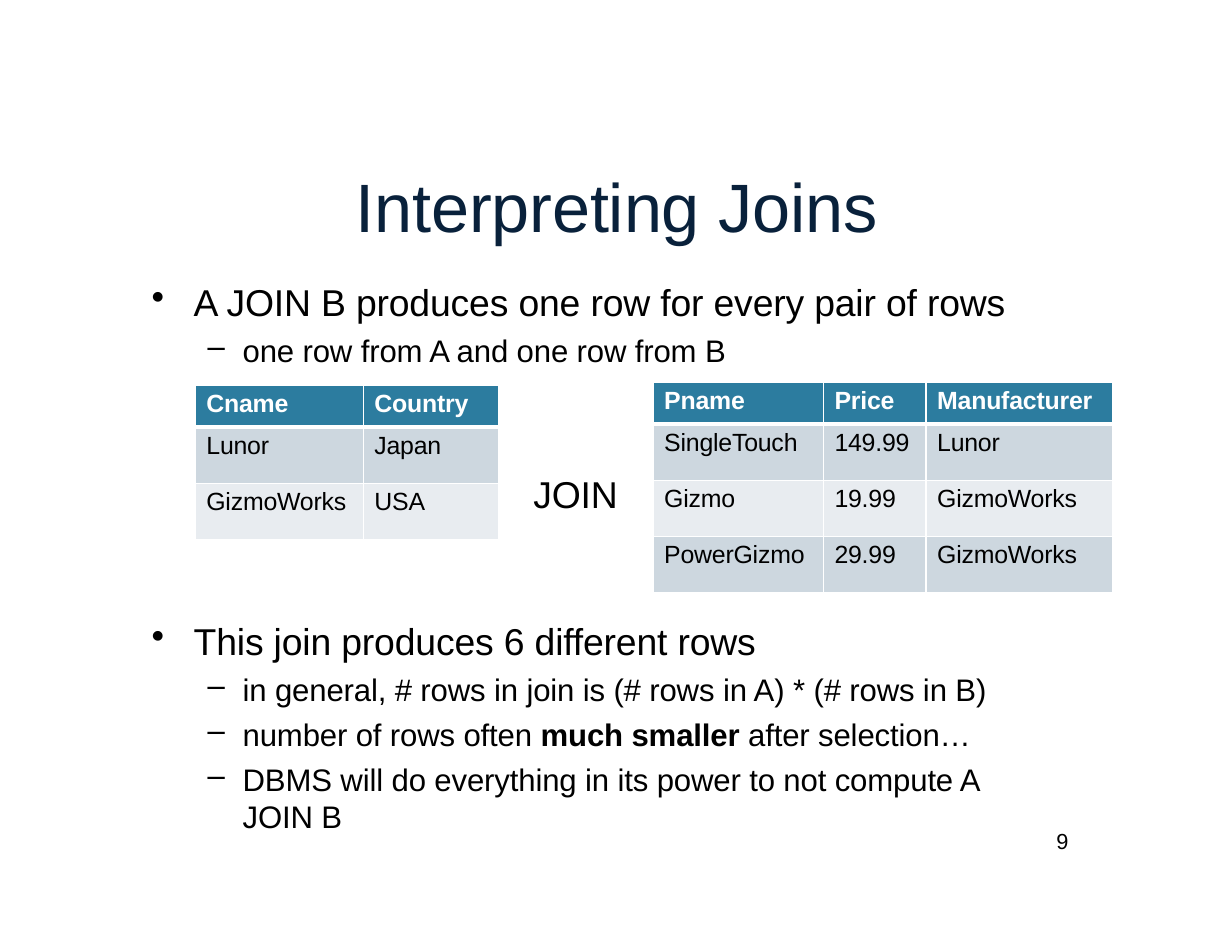
from lxml import etree
from pptx import Presentation
from pptx.dml.color import RGBColor
from pptx.enum import text
from pptx.oxml.ns import qn
from pptx.util import Pt

BLACK = RGBColor(0x00, 0x00, 0x00)
WHITE = RGBColor(0xFF, 0xFF, 0xFF)
NAVY = RGBColor(0x09, 0x21, 0x3B)
HEADER = RGBColor(0x2C, 0x7C, 0x9F)
BAND_DARK = RGBColor(0xCD, 0xD7, 0xDF)
BAND_LIGHT = RGBColor(0xE8, 0xEC, 0xF0)

TITLE_ONLY = 5
HEADER_HEIGHT, ROW_HEIGHT = 27, 36
# Per level: bullet, size, left margin, hanging indent, space before
LEVELS = [("•", 24, 28, 27, 0), ("–", 20, 59.5, 22.5, 4.9)]

COMPANIES = [("Cname", "Country"), ("Lunor", "Japan"), ("GizmoWorks", "USA")]
PRODUCTS = [
    ("Pname", "Price", "Manufacturer"),
    ("SingleTouch", "149.99", "Lunor"),
    ("Gizmo", "19.99", "GizmoWorks"),
    ("PowerGizmo", "29.99", "GizmoWorks"),
]
JOIN_MEANING = [
    (0, ["A JOIN B produces one row for every pair of rows"]),
    (1, ["one row from A and one row from B"]),
]
JOIN_SIZE = [
    (0, ["This join produces 6 different rows"]),
    (1, ["in general, # rows in join is (# rows in A) * (# rows in B)"]),
    (1, ["number of rows often ", "much smaller", " after selection…"]),
    (1, ["DBMS will do everything in its power to not compute A JOIN B"]),
]


def write(paragraph, pieces, size, color=BLACK, bold=False):
    """Add the pieces as runs; every second piece is emphasised in bold."""
    font = paragraph.font
    font.name, font.size, font.bold = "Arial", Pt(size), bold
    font.color.rgb = color
    for i, piece in enumerate(pieces):
        run = paragraph.add_run()
        run.text = piece
        run._r.get_or_add_rPr().set("spc", "-10")
        if i % 2:
            run.font.bold = True


def clear_insets(frame):
    frame.margin_left = frame.margin_right = 0
    frame.margin_top = frame.margin_bottom = 0
    frame.vertical_anchor = text.MSO_ANCHOR.TOP
    frame.auto_size = text.MSO_AUTO_SIZE.NONE
    frame.word_wrap = True


def add_text_frame(slide, left, top, width, height):
    frame = slide.shapes.add_textbox(Pt(left), Pt(top), Pt(width), Pt(height)).text_frame
    clear_insets(frame)
    return frame


def add_label(slide, left, top, width, height, label, size):
    paragraph = add_text_frame(slide, left, top, width, height).paragraphs[0]
    paragraph.alignment = text.PP_ALIGN.CENTER
    write(paragraph, [label], size)


def set_title(slide, title):
    heading = slide.shapes.title
    heading.left, heading.top = Pt(226), Pt(105.2)
    heading.width, heading.height = Pt(341), Pt(52)
    clear_insets(heading.text_frame)
    paragraph = heading.text_frame.paragraphs[0]
    paragraph.alignment = text.PP_ALIGN.CENTER
    write(paragraph, [title], 44, NAVY)


def add_bullets(slide, top, height, items):
    frame = add_text_frame(slide, 96.5, top, 569, height)
    for i, (level, pieces) in enumerate(items):
        paragraph = frame.add_paragraph() if i else frame.paragraphs[0]
        bullet, size, margin, hanging, space = LEVELS[level]
        paragraph.level = level
        paragraph.space_before = Pt(space)
        write(paragraph, pieces, size)
        properties = paragraph._p.get_or_add_pPr()
        properties.set("marL", str(Pt(margin)))
        properties.set("indent", str(-Pt(hanging)))
        mark = etree.Element(qn("a:buChar"), char=bullet)
        properties.find(qn("a:defRPr")).addprevious(mark)


def set_borders(cell, top, bottom):
    properties = cell._tc.get_or_add_tcPr()
    widths = {"lnL": 1, "lnR": 1, "lnT": top, "lnB": bottom}
    for i, (side, width) in enumerate(widths.items()):
        line = etree.Element(qn("a:" + side), w=str(Pt(width)))
        fill = etree.SubElement(line, qn("a:solidFill"))
        etree.SubElement(fill, qn("a:srgbClr"), val=str(WHITE))
        properties.insert(i, line)


def add_relation(slide, left, top, column_widths, rows):
    height = HEADER_HEIGHT + ROW_HEIGHT * (len(rows) - 1)
    table = slide.shapes.add_table(
        len(rows), len(column_widths),
        Pt(left), Pt(top), Pt(sum(column_widths)), Pt(height)).table
    for column, width in zip(table.columns, column_widths):
        column.width = Pt(width)
    for r, row in enumerate(rows):
        is_header = r == 0
        table.rows[r].height = Pt(HEADER_HEIGHT if is_header else ROW_HEIGHT)
        band = HEADER if is_header else BAND_DARK if r % 2 else BAND_LIGHT
        for c, value in enumerate(row):
            cell = table.cell(r, c)
            cell.margin_left, cell.margin_top = Pt(7.2), Pt(2.9)
            cell.margin_right = cell.margin_bottom = 0
            cell.fill.solid()
            cell.fill.fore_color.rgb = band
            set_borders(cell, 3 if r == 1 else 1, 3 if is_header else 1)
            write(cell.text_frame.paragraphs[0], [value], 16,
                  WHITE if is_header else BLACK, is_header)


def main():
    deck = Presentation()
    deck.slide_width, deck.slide_height = Pt(792), Pt(612)
    slide = deck.slides.add_slide(deck.slide_layouts[TITLE_ONLY])

    set_title(slide, "Interpreting Joins")
    add_bullets(slide, 179.5, 58, JOIN_MEANING)
    add_relation(slide, 125.5, 247.7, [108, 87], COMPANIES)
    add_label(slide, 336, 303, 68, 28, "JOIN", 24)
    add_relation(slide, 419.8, 245.7, [109.5, 66, 120], PRODUCTS)
    add_bullets(slide, 397.4, 136, JOIN_SIZE)
    add_label(slide, 672, 532, 22, 18, "9", 14)

    deck.save("out.pptx")


if __name__ == "__main__":
    main()
